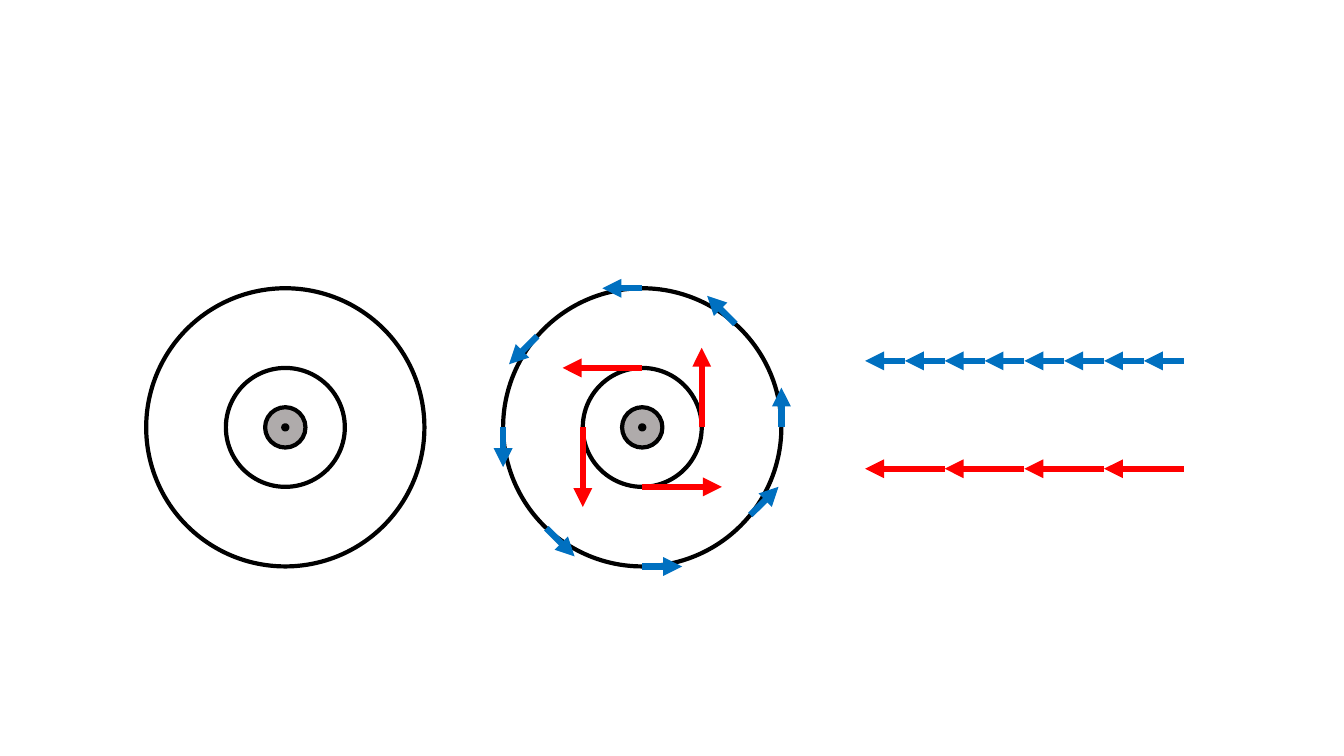
from math import cos, radians, sin

from pptx import Presentation
from pptx import util as u
from pptx.dml.color import RGBColor
from pptx.enum import shapes as s
from pptx.oxml.ns import qn
from lxml import etree

BLACK, GREY, RED, BLUE = "000000", "AFABAB", "FF0000", "0070C0"
MID = 4.24
OUTER, INNER, HUB, DOT = 1.38, 0.59, 0.2, 0.02
LONG = 0.79
SHORT = LONG / 2


def color(code):
    return RGBColor.from_string(code)


def circle(slide, x, y, radius, fill=None):
    left, top, size = u.Inches(x - radius), u.Inches(y - radius), u.Inches(2 * radius)
    ring = slide.shapes.add_shape(s.MSO_SHAPE.OVAL, left, top, size, size)
    ring.shadow.inherit = False
    if fill:
        ring.fill.solid()
        ring.fill.fore_color.rgb = color(fill)
    else:
        ring.fill.background()
    ring.line.color.rgb = color(BLACK)
    ring.line.width = u.Pt(3)


def wheel(slide, x):
    """Draw the concentric circles, hub and axle dot around x."""
    circle(slide, x, MID, OUTER)
    circle(slide, x, MID, INNER)
    circle(slide, x, MID, HUB, GREY)
    circle(slide, x, MID, DOT)


def arrow(slide, x, y, angle, length, tint):
    """Draw an arrow from x, y; the angle runs counterclockwise from the right."""
    turn = radians(angle)
    ends = x, y, x + length * cos(turn), y - length * sin(turn)
    link = slide.shapes.add_connector(
        s.MSO_CONNECTOR.STRAIGHT, *(u.Inches(end) for end in ends))
    link.line.color.rgb = color(tint)
    link.line.width = u.Pt(4.5)
    etree.SubElement(link.line._get_or_add_ln(), qn("a:tailEnd"), type="triangle")
    etree.SubElement(link._element.spPr, qn("a:effectLst"))


def orbit(slide, x, radius, angles, length, tint):
    """Set arrows on a circle, each headed along the nearest eighth turn."""
    for angle in angles:
        turn = radians(angle)
        head = round(angle / 45) * 45 + 90
        arrow(slide, x + radius * cos(turn), MID - radius * sin(turn),
              head, length, tint)


def row(slide, y, count, length, tint):
    """Lay arrows end to end, pointing left."""
    for step in range(count):
        arrow(slide, 11.74 - step * length, y, 180, length, tint)


def main():
    deck = Presentation()
    deck.slide_width, deck.slide_height = u.Inches(13.33), u.Inches(7.5)
    slide = deck.slides.add_slide(deck.slide_layouts[6])

    still, spin = 2.83, 6.37
    wheel(slide, spin)
    orbit(slide, spin, INNER, range(0, 360, 90), LONG, RED)
    orbit(slide, spin, OUTER, (0, 48, 90, 139, 180, 226.5, 270, 321), SHORT, BLUE)
    wheel(slide, still)
    row(slide, 3.58, 8, SHORT, BLUE)
    row(slide, 4.65, 4, LONG, RED)

    deck.save("out.pptx")


if __name__ == "__main__":
    main()
